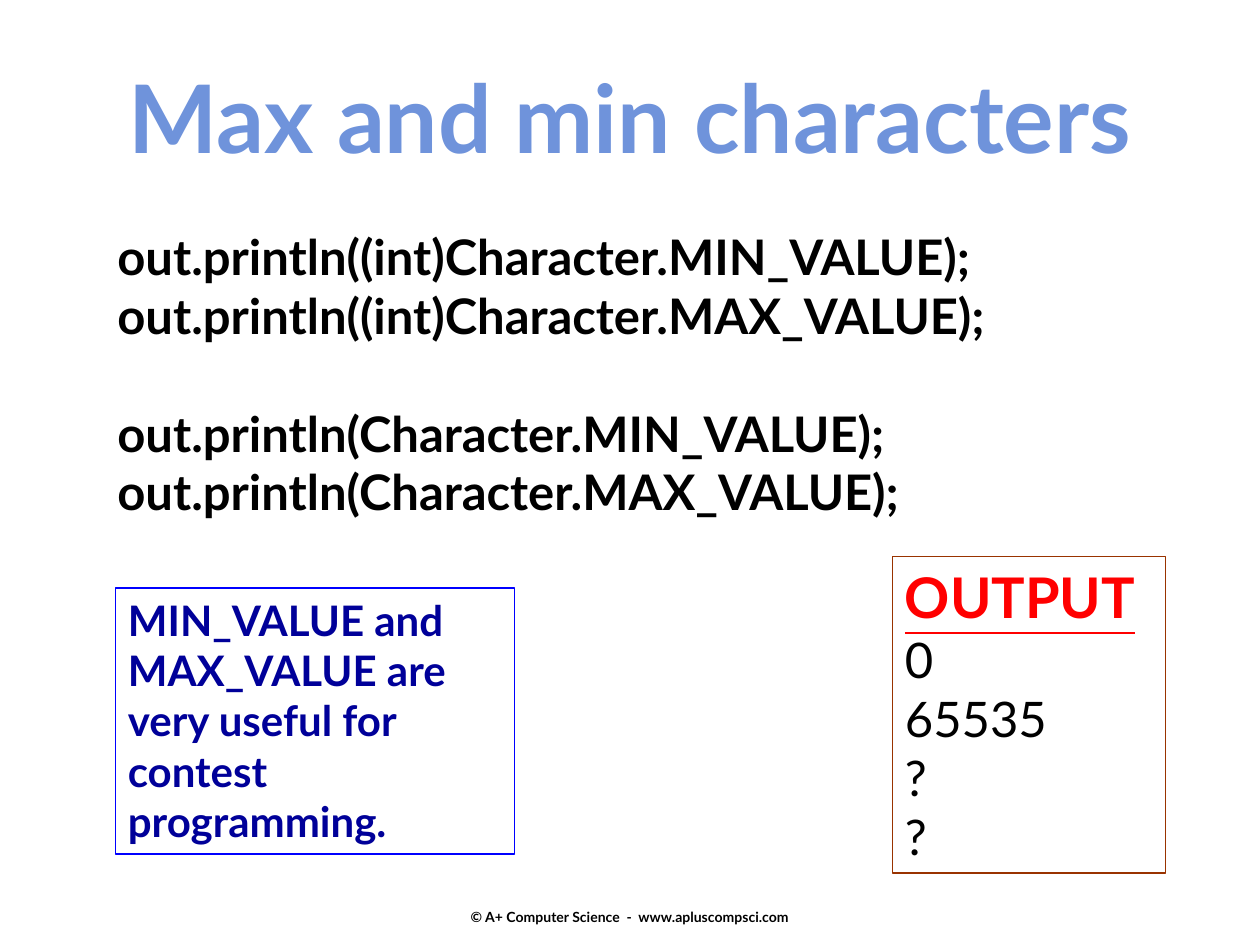
"""Build the slide on the largest and smallest character values."""
from pptx import Presentation
from pptx.dml.color import RGBColor
from pptx.enum.shapes import MSO_SHAPE
from pptx.enum.text import MSO_ANCHOR, MSO_AUTO_SIZE, PP_ALIGN
from pptx.util import Pt

RECT = MSO_SHAPE.RECTANGLE
TOP, MIDDLE = MSO_ANCHOR.TOP, MSO_ANCHOR.MIDDLE
LEFT, CENTER = PP_ALIGN.LEFT, PP_ALIGN.CENTER
FIXED = MSO_AUTO_SIZE.NONE
HUES = {"title": "6F93DB", "text": "000000", "head": "FF0000",
        "note": "000099", "rust": "993300", "blue": "0000FF"}


def style(para, size, hue, bold=True, align=LEFT):
    para.alignment = align
    for run in para.runs:
        font = run.font
        font.name = "Lato"
        font.size = Pt(size)
        font.bold = bold
        font.color.rgb = RGBColor.from_string(HUES[hue])


def frame(left, top, width, height, hue, text):
    box = slide.shapes.add_shape(RECT, Pt(left), Pt(top), Pt(width), Pt(height))
    box.shadow.inherit = False
    box.fill.background()
    box.line.color.rgb = RGBColor.from_string(HUES[hue])
    box.line.width = Pt(1)
    box.text_frame.text = text
    box.text_frame.word_wrap = True
    box.text_frame.vertical_anchor = TOP
    return box.text_frame.paragraphs


prs = Presentation()
prs.slide_width, prs.slide_height = Pt(720), Pt(540)
slide = prs.slides.add_slide(prs.slide_layouts[5])

title = slide.shapes.title
title.left, title.top, title.width, title.height = Pt(0), Pt(30), Pt(720), Pt(73)
title.text_frame.text = "Max and min characters"
title.text_frame.auto_size = FIXED
title.text_frame.vertical_anchor = TOP
style(title.text_frame.paragraphs[0], 54, "title", align=CENTER)

code = slide.shapes.add_textbox(Pt(60), Pt(126), Pt(590), Pt(176)).text_frame
code.word_wrap = True
code.text = "\n".join([
    "out.println((int)Character.MIN_VALUE);",
    "out.println((int)Character.MAX_VALUE);",
    "out.println(Character.MIN_VALUE);",
    "out.println(Character.MAX_VALUE);",
])
for para in code.paragraphs:
    style(para, 28, "text")
code.paragraphs[2].space_before = Pt(33.6)

head, *lines = frame(510, 318, 156, 181, "rust", "OUTPUT\n0\n65535\n?\n?")
style(head, 32, "head")
head.runs[0].font.underline = True
for para in lines:
    style(para, 28, "text", bold=False)

note = frame(66, 336, 228, 152, "blue",
             "MIN_VALUE and MAX_VALUE are very useful for contest programming.")
style(note[0], 24, "note")

foot = slide.shapes.add_textbox(Pt(246), Pt(514), Pt(228), Pt(20)).text_frame
foot.word_wrap = False
foot.vertical_anchor = MIDDLE
foot.text = "© A+ Computer Science  -  www.apluscompsci.com"
style(foot.paragraphs[0], 8, "text", align=CENTER)

prs.save("out.pptx")
